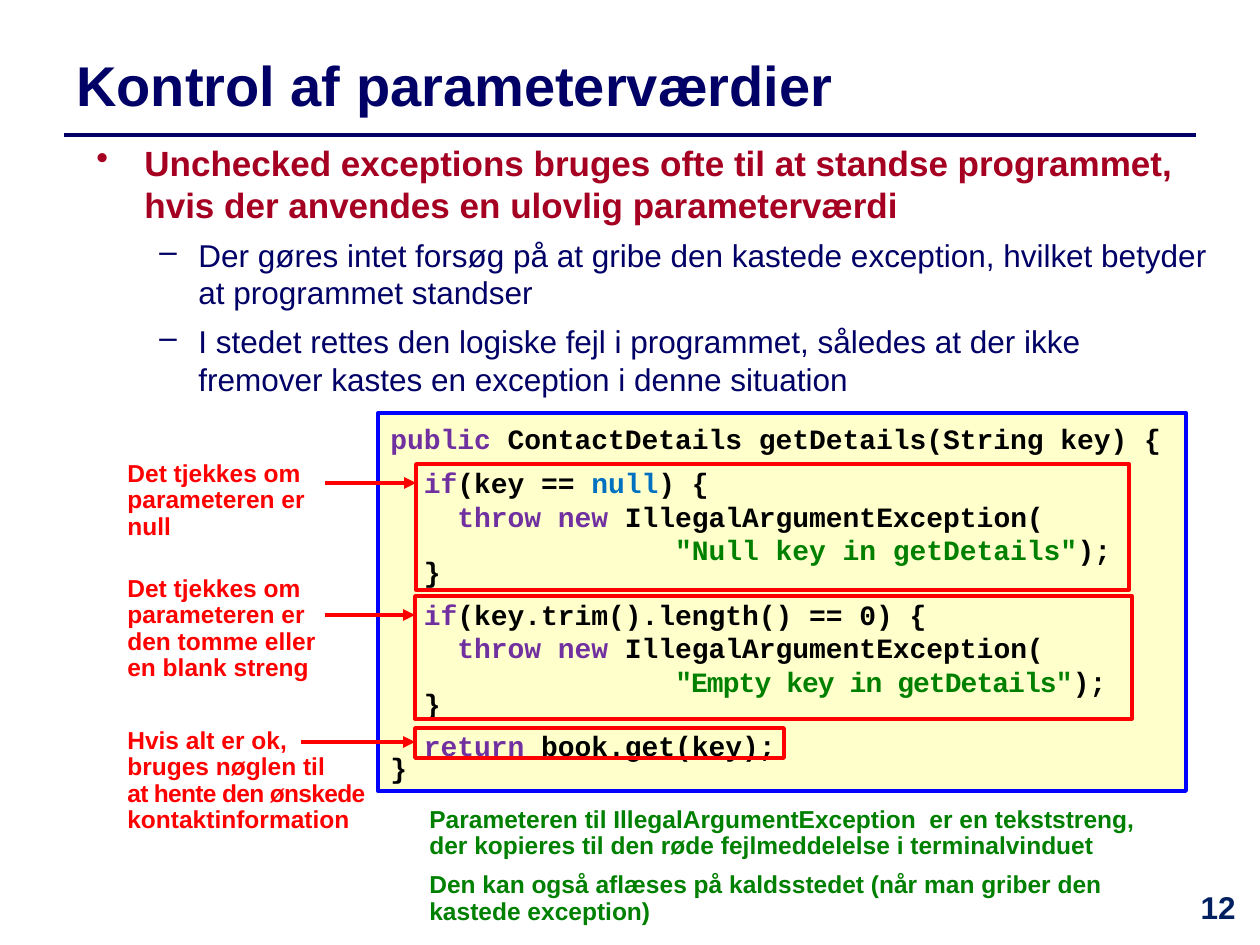
"""Build a slide on checking parameter values with unchecked exceptions."""
from lxml import etree
from pptx import Presentation
from pptx.dml.color import RGBColor
from pptx.enum.shapes import MSO_CONNECTOR, MSO_SHAPE
from pptx.enum.text import MSO_ANCHOR, PP_ALIGN
from pptx.oxml.ns import qn
from pptx.util import Emu, Pt

RECTANGLE = MSO_SHAPE.RECTANGLE
STRAIGHT = MSO_CONNECTOR.STRAIGHT
TOP, MIDDLE = MSO_ANCHOR.TOP, MSO_ANCHOR.MIDDLE
LEFT, CENTER = PP_ALIGN.LEFT, PP_ALIGN.CENTER

NAVY = RGBColor(0x00, 0x00, 0x66)
DARK_BLUE = RGBColor(0x00, 0x20, 0x60)
CRIMSON = RGBColor(0xA5, 0x00, 0x21)
RED = RGBColor(0xFF, 0x00, 0x00)
GREEN = RGBColor(0x00, 0x80, 0x00)
BLUE = RGBColor(0x00, 0x00, 0xFF)
CREAM = RGBColor(0xFF, 0xFF, 0xCC)
PURPLE = RGBColor(0x70, 0x30, 0xA0)
LIGHT_BLUE = RGBColor(0x00, 0x70, 0xC0)
BLACK = RGBColor(0x00, 0x00, 0x00)

EMU_PER_PX = 914400 / 126
TIGHT = {"line_spacing": 0.9}
CLOSING = {"line_spacing": 0.6}
SPACED = {"space_before": Pt(6)}

HEADLINE = {"name": "Arial", "size": Pt(32), "bold": True}
PAGE = {"name": "Arial", "size": Pt(18), "bold": True}
CLAIM = {"name": "Arial", "size": Pt(20), "bold": True}
DETAIL = {"name": "Arial", "size": Pt(18), "bold": False}
NOTE = {"name": "Arial", "size": Pt(14), "bold": True}
CODE = {"name": "Courier New", "size": Pt(16), "bold": True}

BULLETS = [
    ("•", 48, -48, CLAIM, CRIMSON, 0,
     "Unchecked exceptions bruges ofte til at standse programmet, "
     "hvis der anvendes en ulovlig parameterværdi"),
    ("–", 102, -39, DETAIL, NAVY, 6,
     "Der gøres intet forsøg på at gribe den kastede exception, "
     "hvilket betyder at programmet standser"),
    ("–", 102, -39, DETAIL, NAVY, 6,
     "I stedet rettes den logiske fejl i programmet, således at der ikke "
     "fremover kastes en exception i denne situation"),
]

THROW = ({}, [("    throw new ", PURPLE), ("IllegalArgumentException(", BLACK)])
END_IF = (CLOSING, [("  }", BLACK)])
CODE_LINES = [
    ({}, [("public ", PURPLE),
          ("ContactDetails getDetails(String key) {", BLACK)]),
    (SPACED, [("  if", PURPLE), ("(key == ", BLACK), ("null", LIGHT_BLUE),
              (") {", BLACK)]),
    THROW,
    ({}, [("                 ", GREEN), ('"Null key in getDetails"', GREEN),
          (");", BLACK)]),
    END_IF,
    (SPACED, [("  if", PURPLE), ("(key.trim().length() == 0) {", BLACK)]),
    THROW,
    ({}, [("                 ", GREEN),
          ('"Empty key in getDetails"', GREEN, -50), (");", BLACK)]),
    END_IF,
    (SPACED, [("  return ", PURPLE), ("book.get(key);", BLACK)]),
    (CLOSING, [("}", BLACK)]),
]

CHECKS = [
    ((416, 464, 713, 126), (115, 455, 208, 93), (325, 483),
     [[("Det tjekkes om parameteren er null", RED)]]),
    ((415, 596, 717, 123), (115, 570, 238, 120), (325, 615),
     [[("Det tjekkes om parameteren er den tomme eller en blank streng", RED)]]),
    ((415, 728, 369, 30), (115, 722, 328, 120), (301, 742),
     [[("Hvis alt er ok,", RED)], [("bruges nøglen til", RED)],
      [("at hente den ønskede ", RED, -40), ("kontaktinformation", RED)]]),
]

REMARKS = [
    ("Parameteren til IllegalArgumentException  er en tekststreng, der "
     "kopieres til den røde fejlmeddelelse i terminalvinduet", 0),
    ("Den kan også aflæses på kaldsstedet (når man griber den kastede "
     "exception)", 7),
]


def px(length):
    """Turn pixels into EMU."""
    return Emu(round(length * EMU_PER_PX))


def apply(target, values):
    """Set each value as an attribute of the target."""
    for key, value in values.items():
        setattr(target, key, value)


def add_text(slide, box, anchor=TOP):
    """Add an empty wrapping text box and return its frame."""
    frame = slide.shapes.add_textbox(*map(px, box)).text_frame
    apply(frame, {"word_wrap": True, "vertical_anchor": anchor})
    return frame


def next_paragraph(frame):
    """Return the unused first paragraph, or a new one."""
    first = frame.paragraphs[0]
    return frame.add_paragraph() if first.runs else first


def write(paragraph, pieces, font):
    """Add coloured runs, each with optional letter spacing."""
    for text, color, *spacing in pieces:
        run = paragraph.add_run()
        run.text = text
        apply(run.font, font)
        run.font.color.rgb = color
        if spacing:
            run.font._element.set("spc", str(spacing[0]))


def add_bullets(slide, box):
    """Add the bulleted argument."""
    frame = add_text(slide, box)
    for mark, margin, indent, font, color, before, text in BULLETS:
        paragraph = next_paragraph(frame)
        properties = paragraph._p.get_or_add_pPr()
        properties.set("marL", str(px(margin)))
        properties.set("indent", str(px(indent)))
        etree.SubElement(properties, qn("a:buChar")).set("char", mark)
        paragraph.space_before = Pt(before)
        write(paragraph, [(text, color)], font)


def add_frame(slide, box, color, width, fill=None):
    """Add an outlined rectangle, filled or hollow."""
    shape = slide.shapes.add_shape(RECTANGLE, *map(px, box))
    shape.shadow.inherit = False
    if fill is None:
        shape.fill.background()
    else:
        shape.fill.solid()
        shape.fill.fore_color.rgb = fill
    shape.line.color.rgb = color
    shape.line.width = Pt(width)
    return shape


def add_code(slide, box):
    """Add the code panel."""
    frame = add_frame(slide, box, BLUE, 2.25, CREAM).text_frame
    apply(frame, {"word_wrap": True, "vertical_anchor": MIDDLE})
    for spacing, pieces in CODE_LINES:
        paragraph = next_paragraph(frame)
        apply(paragraph, {"alignment": LEFT, **spacing})
        write(paragraph, pieces, CODE)


def add_line(slide, start, end, color, width, arrow=False):
    """Add a straight line, optionally with an arrowhead at its end."""
    line = slide.shapes.add_connector(STRAIGHT, *map(px, start + end))
    line.line.color.rgb = color
    line.line.width = Pt(width)
    if arrow:
        outline = line.line._get_or_add_ln()
        etree.SubElement(outline, qn("a:tailEnd")).set("type", "triangle")
    etree.SubElement(line._element.spPr, qn("a:effectLst"))


def add_check(slide, region, note_box, start, lines):
    """Frame a region of the code and point to it from a note."""
    add_frame(slide, region, RED, 2)
    paragraph = add_text(slide, note_box).paragraphs[0]
    apply(paragraph, TIGHT)
    for number, pieces in enumerate(lines):
        if number:
            paragraph.add_line_break()
        write(paragraph, pieces, NOTE)
    add_line(slide, start, (region[0], start[1]), RED, 2.25, arrow=True)


def add_remarks(slide, box):
    """Add the remarks below the code."""
    frame = add_text(slide, box)
    for text, before in REMARKS:
        paragraph = next_paragraph(frame)
        apply(paragraph, {**TIGHT, "space_before": Pt(before)})
        write(paragraph, [(text, GREEN)], NOTE)


def main():
    """Build and save the slide."""
    deck = Presentation()
    apply(deck, {"slide_width": px(1260), "slide_height": px(945)})
    slide = deck.slides.add_slide(deck.slide_layouts[6])
    add_line(slide, (64, 135), (1196, 135), NAVY, 2)
    title = add_text(slide, (64, 37, 1196, 95), MIDDLE).paragraphs[0]
    write(title, [("Kontrol af parameterværdier", NAVY)], HEADLINE)
    page = add_text(slide, (1176, 882, 84, 63)).paragraphs[0]
    page.alignment = CENTER
    write(page, [("12", DARK_BLUE)], PAGE)
    add_bullets(slide, (84, 135, 1138, 265))
    add_code(slide, (378, 413, 808, 378))
    for check in CHECKS:
        add_check(slide, *check)
    add_remarks(slide, (417, 801, 733, 135))
    deck.save("out.pptx")


if __name__ == "__main__":
    main()
